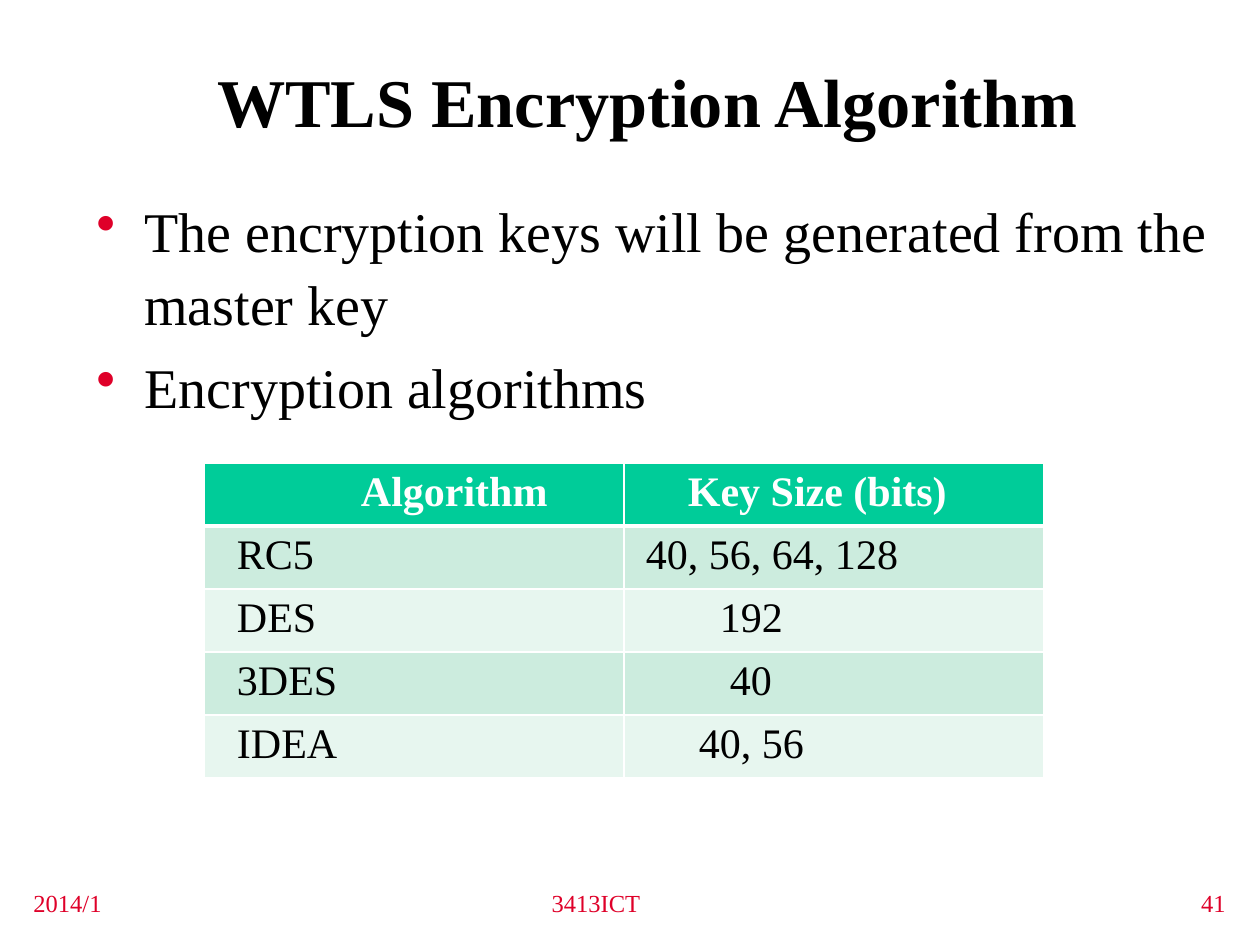
"""Builds the slide on WTLS encryption algorithms and their key sizes."""
from dataclasses import dataclass

from lxml import etree
from pptx import Presentation
from pptx import util as u
from pptx.dml.color import RGBColor
from pptx.enum import text
from pptx.oxml import ns

PX = 914400 // 126
LEFT, CENTER, RIGHT = text.PP_ALIGN.LEFT, text.PP_ALIGN.CENTER, text.PP_ALIGN.RIGHT


@dataclass(frozen=True)
class Theme:
    font: str = "Times New Roman"
    black: str = "000000"
    white: str = "FFFFFF"
    red: str = "DF0029"
    header: str = "00CC99"
    bands: tuple = ("CCECDE", "E7F6EF")
    title_size: int = 39
    body_size: int = 32
    table_size: int = 24
    footer_size: int = 14


THEME = Theme()

TITLE = "WTLS Encryption Algorithm"
TITLE_BOX = (157, 21, 998, 158)
BULLETS = [
    "The encryption keys will be generated from the master key",
    "Encryption algorithms",
]
BODY_BOX = (84, 185, 1163, 698)
BULLET_INDENT = 48
FOOTERS = [
    ("2014/1", (21, 882, 262, 42), LEFT),
    ("3413ICT", (353, 882, 486, 42), CENTER),
    ("41", (917, 882, 321, 42), RIGHT),
]
ROWS = [
    [("Algorithm", 157), ("Key Size (bits)", 64)],
    [("RC5", 33), ("40, 56, 64, 128", 22)],
    [("DES", 33), ("192", 96)],
    [("3DES", 33), ("40", 106)],
    [("IDEA", 33), ("40, 56", 75)],
]
TABLE_LEFT, TABLE_TOP, COLUMN_WIDTH, ROW_HEIGHT = 204, 463, 420, 59


def style(paragraph, size, color, bold=False, align=LEFT):
    paragraph.alignment = align
    font = paragraph.font
    font.name, font.size, font.bold = THEME.font, u.Pt(size), bold
    font.color.rgb = RGBColor.from_string(color)


def add_text_frame(slide, box):
    frame = slide.shapes.add_textbox(*(n * PX for n in box)).text_frame
    frame.word_wrap = True
    return frame


def add_title(slide):
    frame = add_text_frame(slide, TITLE_BOX)
    frame.vertical_anchor = text.MSO_ANCHOR.MIDDLE
    frame.margin_right = 29 * PX
    frame.text = TITLE
    style(frame.paragraphs[0], THEME.title_size, THEME.black, True, CENTER)


def add_bullet(paragraph):
    properties = paragraph._p.get_or_add_pPr()
    properties.set("marL", str(BULLET_INDENT * PX))
    properties.set("indent", str(-BULLET_INDENT * PX))
    color = etree.SubElement(properties, ns.qn("a:buClr"))
    etree.SubElement(color, ns.qn("a:srgbClr"), val=THEME.red)
    etree.SubElement(properties, ns.qn("a:buChar"), char="•")


def add_body(slide):
    frame = add_text_frame(slide, BODY_BOX)
    frame.text = "\n".join(BULLETS)
    for index, paragraph in enumerate(frame.paragraphs):
        add_bullet(paragraph)
        paragraph.line_spacing = 1.08
        paragraph.space_before = u.Pt(6.4 if index else 0)
        style(paragraph, THEME.body_size, THEME.black)


def add_borders(cell, bottom_width):
    properties = cell._tc.get_or_add_tcPr()
    widths = {"lnL": 1, "lnR": 1, "lnT": 1, "lnB": bottom_width}
    for position, (side, width) in enumerate(widths.items()):
        line = etree.Element(ns.qn(f"a:{side}"), w=str(u.Pt(width)))
        fill = etree.SubElement(line, ns.qn("a:solidFill"))
        etree.SubElement(fill, ns.qn("a:srgbClr"), val=THEME.white)
        properties.insert(position, line)


def add_key_table(slide):
    row_count, column_count = len(ROWS), len(ROWS[0])
    box = (TABLE_LEFT, TABLE_TOP, COLUMN_WIDTH * column_count, ROW_HEIGHT * row_count)
    table = slide.shapes.add_table(row_count, column_count, *(n * PX for n in box)).table
    for row_index, row in enumerate(ROWS):
        is_header = row_index == 0
        fill = THEME.header if is_header else THEME.bands[(row_index - 1) % 2]
        color = THEME.white if is_header else THEME.black
        for column_index, (label, indent) in enumerate(row):
            cell = table.cell(row_index, column_index)
            cell.text = label
            cell.margin_left = indent * PX
            cell.fill.solid()
            cell.fill.fore_color.rgb = RGBColor.from_string(fill)
            style(cell.text_frame.paragraphs[0], THEME.table_size, color, is_header)
            add_borders(cell, 3 if is_header else 1)


def add_footers(slide):
    for label, box, align in FOOTERS:
        frame = add_text_frame(slide, box)
        frame.text = label
        style(frame.paragraphs[0], THEME.footer_size, THEME.red, align=align)


def main():
    presentation = Presentation()
    presentation.slide_width, presentation.slide_height = 1260 * PX, 945 * PX
    slide = presentation.slides.add_slide(presentation.slide_layouts[6])
    add_body(slide)
    add_title(slide)
    add_key_table(slide)
    add_footers(slide)
    presentation.save("out.pptx")


if __name__ == "__main__":
    main()
